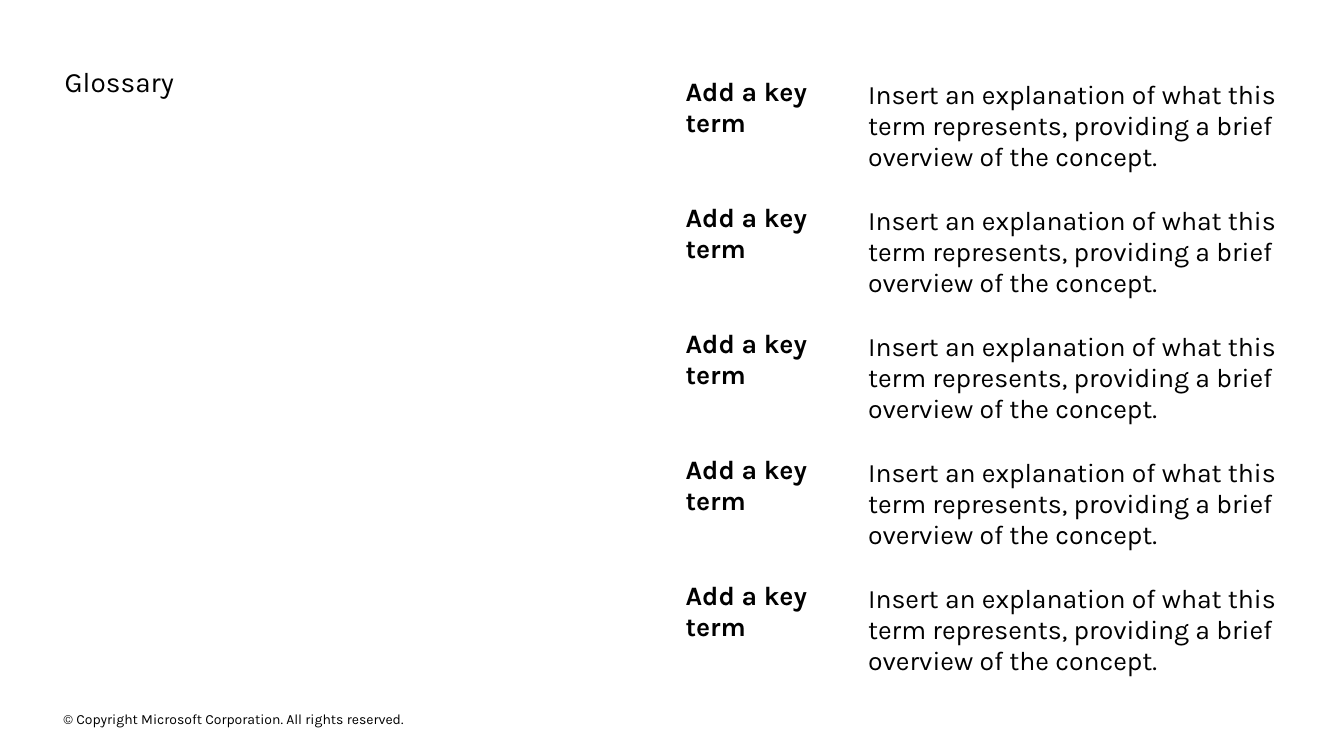
"""Build a glossary slide with a two-column table of terms."""
from dataclasses import dataclass

from pptx import Presentation
from pptx.dml.color import RGBColor
from pptx.enum.text import MSO_ANCHOR, MSO_AUTO_SIZE, PP_ALIGN
from pptx.slide import Slide
from pptx.text.text import TextFrame
from pptx.util import Cm, Pt


@dataclass(frozen=True)
class Theme:
    """Font, colour and type sizes of the slide."""
    face: str = "Karla"
    ink: RGBColor = RGBColor(0, 0, 0)
    title: int = 20
    body: int = 19
    note: int = 10


@dataclass(frozen=True)
class Entry:
    """One glossary row."""
    term: str
    sense: str


@dataclass(frozen=True)
class Column:
    """Look of one table column."""
    width: float
    bold: bool
    anchor: MSO_ANCHOR


THEME = Theme()
COLUMNS = [Column(4.6, True, MSO_ANCHOR.TOP), Column(12.34, False, MSO_ANCHOR.MIDDLE)]
ENTRIES = [Entry(
    "Add a key term",
    "Insert an explanation of what this term represents, "
    "providing a brief overview of the concept.",
)] * 5


def style(frame: TextFrame, text: str, size: int, bold: bool = False) -> None:
    """Write one left-aligned paragraph in the theme font."""
    frame.text = text
    line = frame.paragraphs[0]
    line.alignment = PP_ALIGN.LEFT
    line.font.name = THEME.face
    line.font.size = Pt(size)
    line.font.bold = bold
    line.font.color.rgb = THEME.ink


def trim(frame: TextFrame, anchor: MSO_ANCHOR) -> None:
    """Remove the margins and fix the size of a text frame."""
    frame.margin_left = frame.margin_right = frame.margin_top = frame.margin_bottom = 0
    frame.word_wrap = True
    frame.auto_size = MSO_AUTO_SIZE.NONE
    frame.vertical_anchor = anchor


def add_title(slide: Slide) -> None:
    """Place the heading in the title placeholder."""
    title = slide.shapes.title
    title.left, title.top, title.width, title.height = Cm(1.63), Cm(1.63), Cm(13.08), Cm(0.86)
    trim(title.text_frame, MSO_ANCHOR.TOP)
    style(title.text_frame, "Glossary", THEME.title)


def add_note(slide: Slide) -> None:
    """Place the copyright line at the foot."""
    note = slide.shapes.add_textbox(Cm(1.6), Cm(17.83), Cm(11.53), Cm(0.56))
    trim(note.text_frame, MSO_ANCHOR.MIDDLE)
    style(note.text_frame, "© Copyright Microsoft Corporation. All rights reserved.", THEME.note)


def add_terms(slide: Slide) -> None:
    """Place the table of terms on the right half."""
    width = sum(column.width for column in COLUMNS)
    table = slide.shapes.add_table(
        len(ENTRIES), len(COLUMNS), Cm(16.93), Cm(1.6), Cm(width), Cm(15.88)).table
    table.first_row = table.horz_banding = False
    for x, column in enumerate(COLUMNS):
        table.columns[x].width = Cm(column.width)
    for y, entry in enumerate(ENTRIES):
        for x, (column, text) in enumerate(zip(COLUMNS, (entry.term, entry.sense))):
            cell = table.cell(y, x)
            cell.fill.background()
            cell.vertical_anchor = column.anchor
            cell.margin_left = cell.margin_right = Cm(0.35)
            cell.margin_top = cell.margin_bottom = Cm(0.35)
            style(cell.text_frame, text, THEME.body, column.bold)


def main() -> None:
    """Build and save the deck."""
    deck = Presentation()
    deck.slide_width, deck.slide_height = Cm(33.87), Cm(19.05)
    slide = deck.slides.add_slide(deck.slide_layouts[5])
    add_title(slide)
    add_note(slide)
    add_terms(slide)
    deck.save("out.pptx")


if __name__ == "__main__":
    main()
